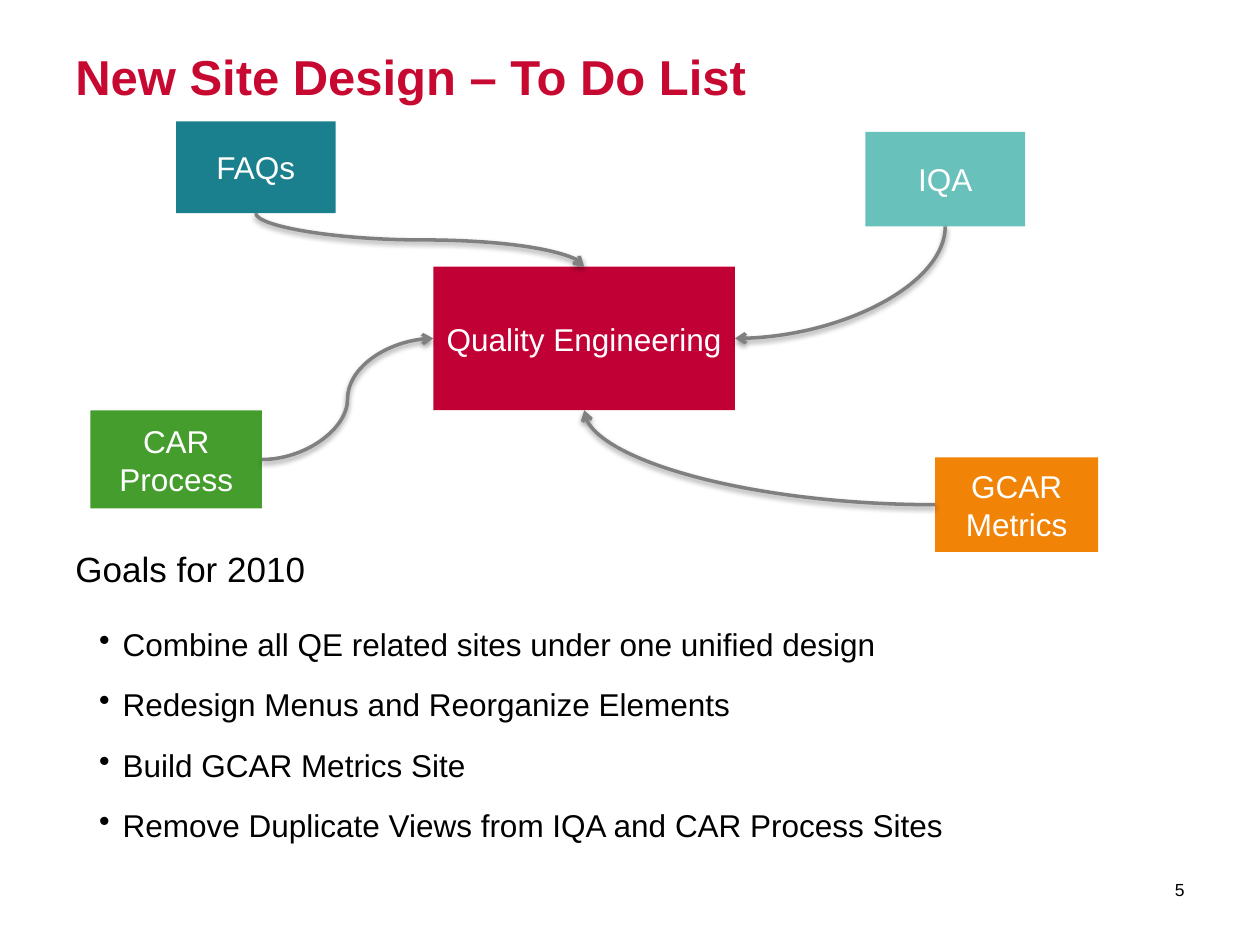
import pptx
import pptx.util
import pptx.dml.color
import pptx.enum.shapes
import pptx.enum.text
import pptx.oxml
import pptx.oxml.ns

Pt = pptx.util.Pt
PP_ALIGN = pptx.enum.text.PP_ALIGN
ANCHOR = pptx.enum.text.MSO_ANCHOR
TOP, LEFT, BOTTOM, RIGHT = range(4)

# Content
TITLE = "New Site Design – To Do List"
GOALS_HEADING = "Goals for 2010"
GOALS = [
    "Combine all QE related sites under one unified design",
    "Redesign Menus and Reorganize Elements",
    "Build GCAR Metrics Site",
    "Remove Duplicate Views from IQA and CAR Process Sites",
]
PAGE_NUMBER = "5"
HUB = "Quality Engineering"
# site: (left, top, width, height), fill
SITES = {
    "CAR Process": ((51.7, 234.6, 98, 56), "459D2D"),
    "GCAR Metrics": ((534.3, 261.4, 93.3, 54), "F18307"),
    "IQA": ((494.5, 75.4, 91.3, 54), "69C1BC"),
    HUB: ((247.6, 152.4, 172.4, 82), "C10036"),
    "FAQs": ((100.6, 69.4, 91.2, 52.4), "1B808E"),
}
# site, side it leaves, side of the hub it reaches, curve, rotation, flip
LINKS = [
    ("IQA", BOTTOM, RIGHT, "curvedConnector2", 90, None),
    ("CAR Process", RIGHT, LEFT, "curvedConnector3", 0, "flipV"),
    ("GCAR Metrics", LEFT, BOTTOM, "curvedConnector2", 180, None),
    ("FAQs", BOTTOM, TOP, "curvedConnector3", 270, "flipH"),
]
THEME = {
    "font": "Arial", "title": "C70932", "text": "000000", "label": "FFFFFF",
    "line": "808080", "title_size": 28, "heading_size": 20, "body_size": 18,
    "page_size": 10, "line_width": 2,
}
SHADOW = (
    '<a:effectLst %s><a:outerShdw blurRad="40000" dist="20000" dir="5400000" '
    'rotWithShape="0"><a:srgbClr val="000000"><a:alpha val="38000"/></a:srgbClr>'
    "</a:outerShdw></a:effectLst>" % pptx.oxml.ns.nsdecls("a")
)


def rgb(value):
    return pptx.dml.color.RGBColor.from_string(value)


def style(paragraph, size, color, bold=False, align=PP_ALIGN.LEFT):
    paragraph.alignment = align
    font = paragraph.font
    font.name, font.size, font.bold = THEME["font"], Pt(size), bold
    font.color.rgb = rgb(color)


def add_text(slide, box, text, size, color, anchor=ANCHOR.TOP, **look):
    frame = slide.shapes.add_textbox(*map(Pt, box)).text_frame
    frame.word_wrap = True
    frame.vertical_anchor = anchor
    frame.text = text
    style(frame.paragraphs[0], size, color, **look)
    return frame


def add_goal(frame, text):
    goal = frame.add_paragraph()
    goal.text = text
    goal.level = 1
    goal.space_before = Pt(13)
    properties = goal._p.get_or_add_pPr()
    properties.set("marL", str(Pt(27)))
    properties.set("indent", str(Pt(-13.5)))
    bullet = pptx.oxml.ns.qn("a:buChar")
    properties.append(properties.makeelement(bullet, {"char": "•"}))
    style(goal, THEME["body_size"], THEME["text"])


def add_site(slide, name, box, fill):
    site = slide.shapes.add_shape(
        pptx.enum.shapes.MSO_SHAPE.RECTANGLE, *map(Pt, box))
    site.shadow.inherit = False
    site.fill.solid()
    site.fill.fore_color.rgb = rgb(fill)
    site.line.fill.background()
    frame = site.text_frame
    frame.word_wrap = True
    frame.vertical_anchor = ANCHOR.MIDDLE
    frame.margin_left = frame.margin_right = Pt(3.6)
    frame.text = name
    style(frame.paragraphs[0], THEME["body_size"], THEME["label"],
          align=PP_ALIGN.CENTER)
    return site


def add_link(slide, site, hub, start, end, curve, rotation, flip):
    link = slide.shapes.add_connector(
        pptx.enum.shapes.MSO_CONNECTOR.CURVE, 0, 0, 0, 0)
    link.begin_connect(site, start)
    link.end_connect(hub, end)
    # A quarter turn swaps width and height about the same centre
    if rotation in (90, 270):
        shift = (link.width - link.height) // 2
        link.left, link.top = link.left + shift, link.top - shift
        link.width, link.height = link.height, link.width
    link.rotation = rotation
    properties = link._element.spPr
    frame = properties.find(pptx.oxml.ns.qn("a:xfrm"))
    for name in ("flipH", "flipV"):
        frame.set(name, "1" if name == flip else "0")
    properties.find(pptx.oxml.ns.qn("a:prstGeom")).set("prst", curve)
    link.line.color.rgb = rgb(THEME["line"])
    link.line.width = Pt(THEME["line_width"])
    line = link.line._get_or_add_ln()
    line.append(line.makeelement(pptx.oxml.ns.qn("a:tailEnd"), {"type": "arrow"}))
    properties.append(pptx.oxml.parse_xml(SHADOW))


def main():
    deck = pptx.Presentation()
    deck.slide_width, deck.slide_height = Pt(720), Pt(540)
    slide = deck.slides.add_slide(deck.slide_layouts[6])

    # Title, goals and page number
    add_text(slide, (36, 23, 648, 47), TITLE, THEME["title_size"],
             THEME["title"], bold=True)
    goals = add_text(slide, (36, 309.5, 648, 172), GOALS_HEADING,
                     THEME["heading_size"], THEME["text"])
    goals.paragraphs[0].space_after = Pt(7)
    for goal in GOALS:
        add_goal(goals, goal)
    add_text(slide, (633.6, 494, 50.4, 28.8), PAGE_NUMBER, THEME["page_size"],
             THEME["text"], ANCHOR.MIDDLE, align=PP_ALIGN.RIGHT)

    # Site map
    sites = {name: add_site(slide, name, box, fill)
             for name, (box, fill) in SITES.items()}
    for name, *route in LINKS:
        add_link(slide, sites[name], sites[HUB], *route)

    deck.save("out.pptx")


if __name__ == "__main__":
    main()
